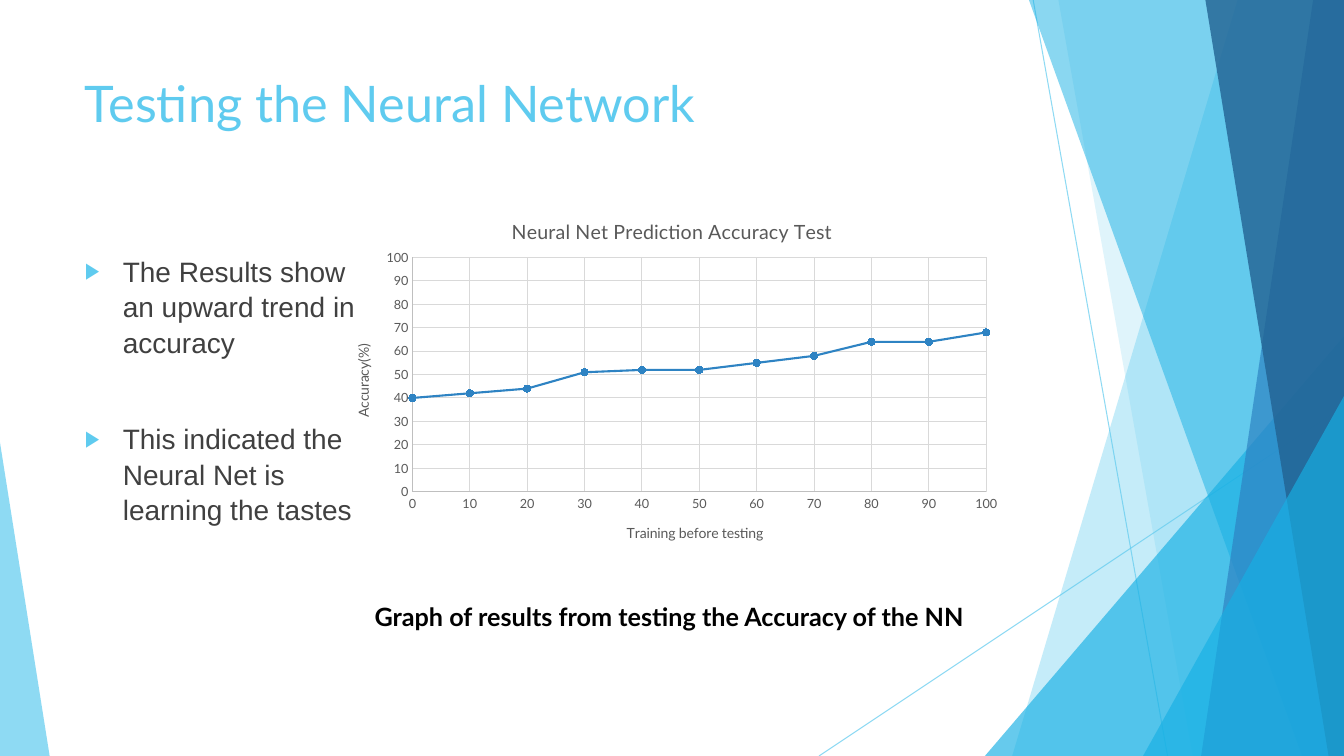
from lxml import etree
from pptx import Presentation
from pptx.chart.data import XyChartData
from pptx.dml.color import RGBColor
from pptx.enum.chart import XL_CHART_TYPE, XL_MARKER_STYLE, XL_TICK_MARK
from pptx.enum.shapes import MSO_CONNECTOR, MSO_SHAPE
from pptx.enum.text import MSO_ANCHOR, MSO_AUTO_SIZE, PP_ALIGN
from pptx.oxml.ns import qn
from pptx.util import Pt

SCATTER = XL_CHART_TYPE.XY_SCATTER_LINES
CIRCLE = XL_MARKER_STYLE.CIRCLE
NO_TICK = XL_TICK_MARK.NONE
STRAIGHT = MSO_CONNECTOR.STRAIGHT
TRIANGLE = MSO_SHAPE.ISOSCELES_TRIANGLE
TOP = MSO_ANCHOR.TOP
LEFT = PP_ALIGN.LEFT
NO_AUTOFIT = MSO_AUTO_SIZE.NONE

WIDTH, HEIGHT = 960, 540
SKY, CYAN, BLUE, NAVY = "5FCBEF", "17B0E4", "2E83C3", "226292"
GRAY, GRID, AXIS = "595959", "D9D9D9", "BFBFBF"

ACCURACY = [40, 42, 44, 51, 52, 52, 55, 58, 64, 64, 68]


def rgb(color):
    return RGBColor.from_string(color)


def set_alpha(element, percent):
    for color in element.iter(qn("a:srgbClr")):
        etree.SubElement(color, qn("a:alpha"), val=str(percent * 1000))


def place(shape, left, top, width, height):
    shape.left, shape.top = Pt(left), Pt(top)
    shape.width, shape.height = Pt(width), Pt(height)


def style_font(font, size, color, name="Lato", bold=False):
    font.size, font.name, font.bold = Pt(size), name, bold
    font.color.rgb = rgb(color)


def style_line(line, color, width):
    line.color.rgb = rgb(color)
    line.width = Pt(width)


def write_text(paragraph, text, **font_format):
    run = paragraph.add_run()
    run.text = text
    style_font(run.font, **font_format)


def prepare_frame(shape):
    frame = shape.text_frame
    frame.word_wrap = True
    frame.auto_size = NO_AUTOFIT
    frame.vertical_anchor = TOP
    frame.paragraphs[0].alignment = LEFT
    return frame


def add_thin_line(slide, start, end):
    line = slide.shapes.add_connector(STRAIGHT, *map(Pt, start + end))
    style_line(line.line, SKY, 0.75)
    properties = line._element.spPr
    set_alpha(properties, 70)
    etree.SubElement(properties, qn("a:effectLst"))


def paint(shape, color, alpha):
    shape.shadow.inherit = False
    shape.fill.solid()
    shape.fill.fore_color.rgb = rgb(color)
    shape.line.fill.background()
    set_alpha(shape._element.spPr, alpha)


def add_band(slide, top_x, bottom_x, color, alpha):
    """Full-height band from a slanted left edge to the slide's right edge."""
    builder = slide.shapes.build_freeform(top_x, 0, scale=Pt(1))
    builder.add_line_segments([(WIDTH, 0), (WIDTH, HEIGHT), (bottom_x, HEIGHT)])
    paint(builder.convert_to_shape(), color, alpha)


def add_corner(slide, left, top, width, apex, color, alpha):
    """Triangle standing on the slide's bottom edge."""
    shape = slide.shapes.add_shape(
        TRIANGLE, Pt(left), Pt(top), Pt(width), Pt(HEIGHT - top))
    shape.adjustments[0] = apex
    paint(shape, color, alpha)


def add_decoration(slide):
    add_thin_line(slide, (738, 0), (834, HEIGHT))
    add_thin_line(slide, (WIDTH, 290), (585, HEIGHT))
    add_band(slide, 884, 723, SKY, 36)
    add_band(slide, 756, 852, SKY, 20)
    add_corner(slide, 703.5, 240, 256.5, 1, CYAN, 66)
    add_band(slide, 735, 929.5, CYAN, 50)
    add_band(slide, 938, 858, BLUE, 70)
    add_band(slide, 861, 949, NAVY, 80)
    add_corner(slide, 816.5, 283, 143.5, 1, CYAN, 66)
    add_corner(slide, 0, 316, 35.5, 0, SKY, 70)


def add_bullet(paragraph, text, space_before):
    paragraph.space_before = Pt(space_before)
    paragraph.line_spacing = 1.05
    properties = paragraph._p.get_or_add_pPr()
    properties.set("marL", str(Pt(27)))
    properties.set("indent", str(-Pt(27)))
    color = etree.SubElement(properties, qn("a:buClr"))
    etree.SubElement(color, qn("a:srgbClr"), val=SKY)
    etree.SubElement(properties, qn("a:buSzPct"), val="80000")
    etree.SubElement(properties, qn("a:buFont"), typeface="Arial")
    etree.SubElement(properties, qn("a:buChar"), char="\u25b6")
    write_text(paragraph, text, size=20, color="404040", name="Arial")


def set_layout(element, inner=False, **fractions):
    """Place a chart part by fractions of the chart's size."""
    layout = element.find(qn("c:layout"))
    if layout is None:
        layout = etree.Element(qn("c:layout"))
        # The layout follows the text of a title and comes first in a plot area
        element.insert(0 if element.find(qn("c:tx")) is None else 1, layout)
    manual = etree.SubElement(layout, qn("c:manualLayout"))
    if inner:
        etree.SubElement(manual, qn("c:layoutTarget"), val="inner")
    for mode in ("xMode", "yMode"):
        etree.SubElement(manual, qn("c:" + mode), val="edge")
    for key, value in fractions.items():
        etree.SubElement(manual, qn("c:" + key), val=str(value))


def add_title(title, text, size, x, y):
    write_text(title.text_frame.paragraphs[0], text, size=size, color=GRAY)
    set_layout(title._element, x=x, y=y)


def style_axis(axis):
    axis.minimum_scale, axis.maximum_scale, axis.major_unit = 0, 100, 10
    axis.major_tick_mark = axis.minor_tick_mark = NO_TICK
    axis.has_major_gridlines = True
    style_line(axis.major_gridlines.format.line, GRID, 0.75)
    style_line(axis.format.line, AXIS, 0.75)
    style_font(axis.tick_labels.font, 9, GRAY)


def add_accuracy_chart(slide):
    data = XyChartData()
    points = data.add_series("Series 1")
    for step, accuracy in enumerate(ACCURACY):
        points.add_data_point(step * 10, accuracy)
    chart = slide.shapes.add_chart(
        SCATTER, Pt(236), Pt(139.5), Pt(488), Pt(261.5), data).chart
    style_font(chart.font, 10, "000000")
    chart.has_legend = False

    # Axes and titles
    training, accuracy = chart.category_axis, chart.value_axis
    for axis in (training, accuracy):
        style_axis(axis)
    add_title(chart.chart_title, "Neural Net Prediction Accuracy Test", 14, 0.26, 0.05)
    add_title(training.axis_title, "Training before testing", 10, 0.43, 0.89)
    add_title(accuracy.axis_title, "Accuracy(%)", 10, 0.03, 0.4)
    plot_area = chart.element.find(".//" + qn("c:plotArea"))
    set_layout(plot_area, inner=True, x=0.12, y=0.17, w=0.84, h=0.64)

    # Accuracy line
    chart.plots[0].vary_by_categories = False
    series = chart.plots[0].series[0]
    series.smooth = False
    style_line(series.format.line, BLUE, 1.5)
    series.marker.style, series.marker.size = CIRCLE, 5
    series.marker.format.fill.solid()
    series.marker.format.fill.fore_color.rgb = rgb(BLUE)
    style_line(series.marker.format.line, BLUE, 0.75)


def main():
    presentation = Presentation()
    presentation.slide_width, presentation.slide_height = Pt(WIDTH), Pt(HEIGHT)
    slide = presentation.slides.add_slide(presentation.slide_layouts[1])
    add_decoration(slide)

    # Heading
    title = slide.shapes.title
    place(title, 53.5, 48, 677, 104)
    write_text(prepare_frame(title).paragraphs[0], "Testing the Neural Network",
               size=36, color=SKY)

    # Caption and chart
    caption = slide.shapes.add_textbox(Pt(260.5), Pt(426), Pt(463), Pt(29))
    write_text(prepare_frame(caption).paragraphs[0],
               "Graph of results from testing the Accuracy of the NN",
               size=18, color="000000", bold=True)
    add_accuracy_chart(slide)

    # Findings
    body = slide.placeholders[1]
    place(body, 53.5, 177, 207.5, 363)
    frame = prepare_frame(body)
    add_bullet(frame.paragraphs[0], "The Results show an upward trend in accuracy", 10)
    add_bullet(frame.add_paragraph(),
               "This indicated the Neural Net is learning the tastes", 44)

    presentation.save("out.pptx")


main()
